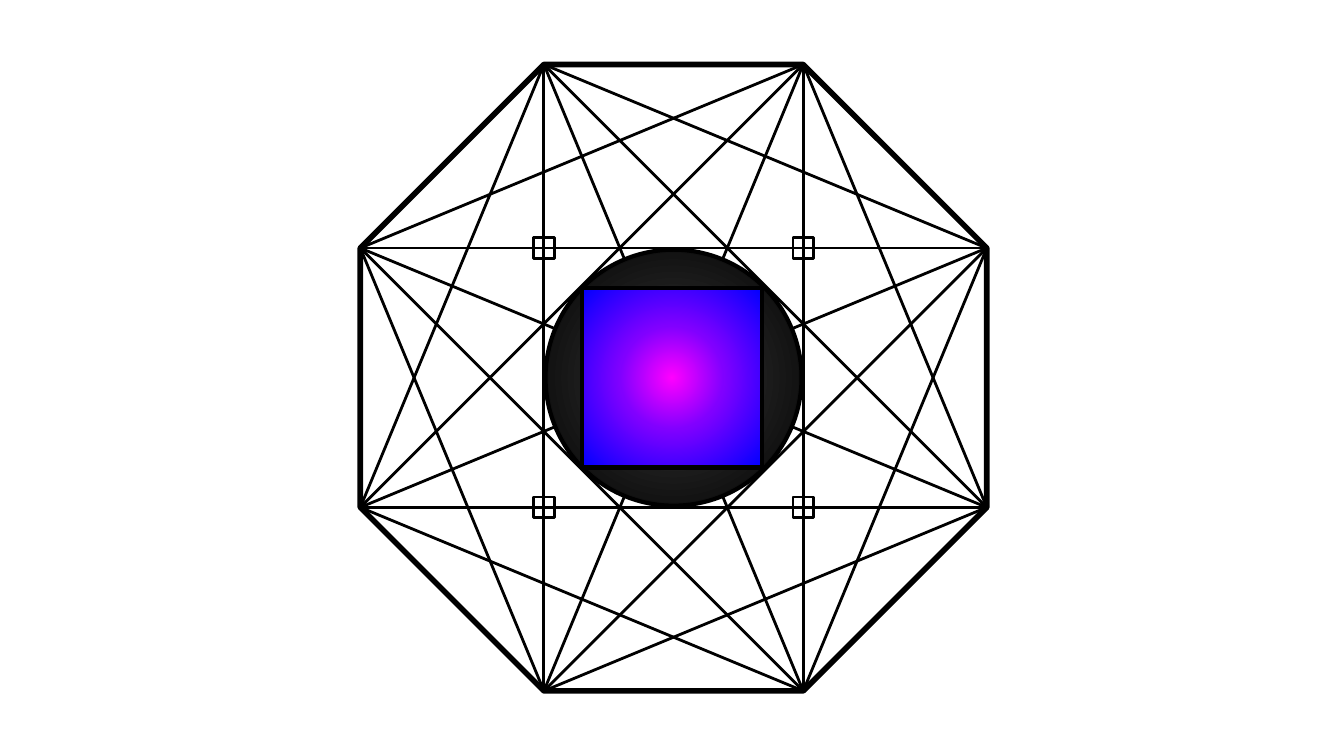
import itertools
from dataclasses import dataclass

import pptx
import pptx.dml.color
import pptx.enum.shapes
import pptx.oxml.ns
import pptx.util
from lxml import etree

Cm = pptx.util.Cm
Shape = pptx.enum.shapes.MSO_SHAPE
qn = pptx.oxml.ns.qn


@dataclass(frozen=True)
class Theme:
    ink: str = "000000"
    disc: tuple = ((0, "3A3A3A"), (100, "000000"))
    core: tuple = ((0, "FF00FF"), (41, "8000FF"), (100, "0000FF"))
    thin: float = 1.5
    medium: float = 2.25
    thick: float = 3


class Painter:
    """Draws outlined elements on the current page; lengths are in cm."""

    def __init__(self, page, theme):
        self.page = page
        self.theme = theme

    def outline(self, item, width):
        item.line.color.rgb = pptx.dml.color.RGBColor.from_string(self.theme.ink)
        item.line.width = pptx.util.Pt(width)

    def shape(self, kind, center, size, width, stops=None):
        left, top = (middle - size / 2 for middle in center)
        shape = self.page.shapes.add_shape(kind, Cm(left), Cm(top), Cm(size), Cm(size))
        shape.shadow.inherit = False
        shape.fill.background()
        self.outline(shape, width)
        if stops:
            self.radial_fill(shape, stops)
        return shape

    def radial_fill(self, shape, stops):
        properties = shape._element.spPr
        gradient = etree.Element(qn("a:gradFill"), rotWithShape="1")
        stop_list = etree.SubElement(gradient, qn("a:gsLst"))
        for percent, color in stops:
            stop = etree.SubElement(stop_list, qn("a:gs"), pos=str(percent * 1000))
            etree.SubElement(stop, qn("a:srgbClr"), val=color)
        focus = etree.SubElement(gradient, qn("a:path"), path="circle")
        sides = dict.fromkeys("ltrb", "50000")
        etree.SubElement(focus, qn("a:fillToRect"), **sides)
        properties.replace(properties.find(qn("a:noFill")), gradient)

    def line(self, start, end, width):
        line = self.page.shapes.add_connector(
            pptx.enum.shapes.MSO_CONNECTOR.STRAIGHT,
            *(Cm(length) for length in (*start, *end)))
        self.outline(line, width)
        etree.SubElement(line._element.spPr, qn("a:effectLst"))


def main():
    deck = pptx.Presentation()
    deck.slide_width, deck.slide_height = Cm(25.4), Cm(14.29)
    theme = Theme()
    painter = Painter(deck.slides.add_slide(deck.slide_layouts[6]), theme)

    center_x, center_y = center = (12.73, 7.14)
    size = 11.84
    cut = 0.293
    far = size / 2
    near = far - cut * size

    # Octagon
    octagon = painter.shape(Shape.OCTAGON, center, size, theme.thick)
    octagon.adjustments[0] = cut

    # All diagonals between corners that are not neighbours
    offsets = [(-near, -far), (near, -far), (far, -near), (far, near),
               (near, far), (-near, far), (-far, near), (-far, -near)]
    corners = [(center_x + x, center_y + y) for x, y in offsets]
    for first, second in itertools.combinations(range(8), 2):
        if second - first not in (1, 7):
            painter.line(corners[first], corners[second], theme.thin)

    # Right-angle marks where the upright and level diagonals cross
    for y, x in itertools.product((-near, near), repeat=2):
        painter.shape(Shape.RECTANGLE, (center_x + x, center_y + y), 0.39, theme.thin)

    # Disc and glowing square in the middle
    painter.shape(Shape.OVAL, center, 4.84, theme.medium, theme.disc)
    painter.shape(Shape.RECTANGLE, (12.7, center_y), 3.4, theme.medium, theme.core)

    deck.save("out.pptx")


if __name__ == "__main__":
    main()
